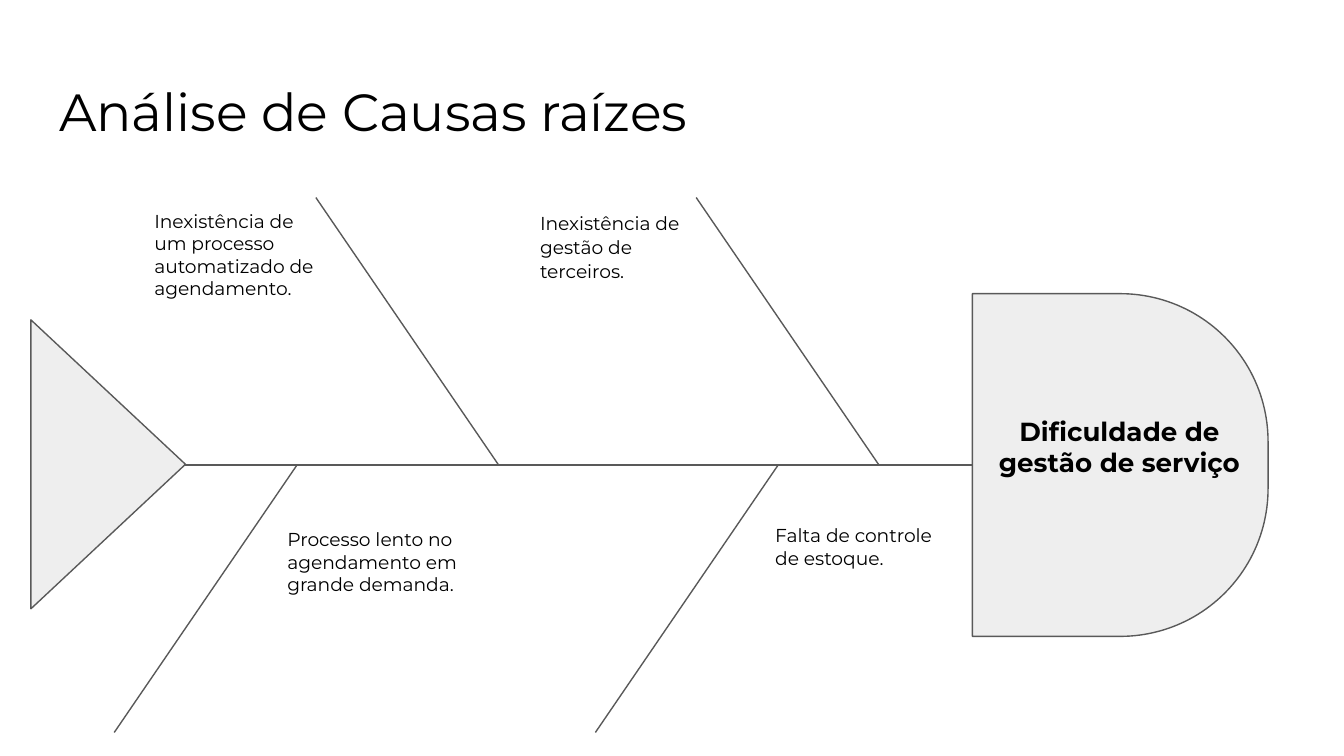
from dataclasses import dataclass

from lxml import etree
from pptx import Presentation
from pptx.dml.color import RGBColor
from pptx.enum.shapes import MSO_CONNECTOR, MSO_SHAPE
from pptx.enum.text import MSO_ANCHOR, MSO_AUTO_SIZE, PP_ALIGN
from pptx.oxml.ns import qn
from pptx.util import Emu, Inches, Pt

STRAIGHT = MSO_CONNECTOR.STRAIGHT
TRIANGLE, ROUND_TOP = MSO_SHAPE.ISOSCELES_TRIANGLE, MSO_SHAPE.ROUND_2_SAME_RECTANGLE
TOP, NO_FIT = MSO_ANCHOR.TOP, MSO_AUTO_SIZE.NONE
LEFT, CENTER = PP_ALIGN.LEFT, PP_ALIGN.CENTER

BLACK = RGBColor(0x00, 0x00, 0x00)
GRAY = RGBColor(0x59, 0x59, 0x59)
PALE = RGBColor(0xEE, 0xEE, 0xEE)
FONT = "Montserrat"

# Square grid: 100 columns across the 16:9 slide, 56.25 rows down
COLS, ROWS = 100, 56.25
CELL = Inches(10) / COLS
SPINE_ROW = 34.6
BONE_COLS, BONE_ROWS = 13.6, 19.9
LABEL_COLS, LABEL_ROWS = 15, 9.4


@dataclass
class Box:
    col: float
    row: float
    cols: float
    rows: float


@dataclass
class Cause:
    text: str
    joint: float  # column where the bone meets the spine
    side: int  # -1 above the spine, 1 below
    col: float
    row: float
    spacing: dict


CAUSES = [
    Cause("Inexistência de um processo automatizado de agendamento.",
          37.1, -1, 10.5, 14.6, {}),
    Cause("Inexistência de gestão de terceiros.",
          65.4, -1, 39.2, 14.6, {"line_spacing": 1.08, "space_after": Pt(8)}),
    Cause("Processo lento no agendamento em grande demanda.",
          22.1, 1, 20.4, 38.3, {}),
    Cause("Falta de controle de estoque.", 57.9, 1, 56.7, 38, {}),
]


def cells(n: float) -> Emu:
    return Emu(round(n * CELL))


def place(box: Box) -> list[Emu]:
    return [cells(n) for n in (box.col, box.row, box.cols, box.rows)]


def write(sp, text: str, size: float, align=LEFT, bold=False, spacing=None) -> None:
    tf = sp.text_frame
    frame = {"word_wrap": True, "auto_size": NO_FIT, "vertical_anchor": TOP}
    for side in ("left", "top", "right", "bottom"):
        frame[f"margin_{side}"] = Inches(0.1)
    p = tf.paragraphs[0]
    r = p.add_run()
    r.text = text
    formats = [
        (tf, frame),
        (p, {"alignment": align, **(spacing or {})}),
        (r.font, {"name": FONT, "size": Pt(size), "bold": bold}),
    ]
    for target, values in formats:
        for name, value in values.items():
            setattr(target, name, value)
    r.font.color.rgb = BLACK


def add_label(s, box: Box, text: str, size: float, **style) -> None:
    write(s.shapes.add_textbox(*place(box)), text, size, **style)


def add_line(s, *ends: float) -> None:
    """Draw a line from (col, row) to (col, row)."""
    line = s.shapes.add_connector(STRAIGHT, *map(cells, ends))
    line.line.color.rgb = GRAY
    line.line.width = Pt(0.75)
    etree.SubElement(line._element.spPr, qn("a:effectLst"))


def add_fish_part(s, kind, box: Box, adjustments: list[float]) -> None:
    """Draw a filled shape turned a quarter clockwise."""
    sp = s.shapes.add_shape(kind, *place(box))
    sp.rotation = 90
    sp.shadow.inherit = False
    for i, value in enumerate(adjustments):
        sp.adjustments[i] = value
    sp.fill.solid()
    sp.fill.fore_color.rgb = PALE
    sp.line.color.rgb = GRAY
    sp.line.width = Pt(0.75)


def main() -> None:
    prs = Presentation()
    prs.slide_width, prs.slide_height = cells(COLS), cells(ROWS)
    s = prs.slides.add_slide(prs.slide_layouts[5])

    title = s.shapes.title
    title.left, title.top, title.width, title.height = place(Box(3.4, 4.9, 93.2, 6.3))
    write(title, "Análise de Causas raízes", 28)

    add_fish_part(s, TRIANGLE, Box(-2.7, 28.8, 21.5, 11.5), [0.5])
    add_line(s, 13.8, SPINE_ROW, 76, SPINE_ROW)
    add_fish_part(s, ROUND_TOP, Box(70.6, 23.6, 25.5, 22), [0.5, 0])

    for cause in CAUSES:
        add_line(s, cause.joint - BONE_COLS, SPINE_ROW + cause.side * BONE_ROWS,
                 cause.joint, SPINE_ROW)
        add_label(s, Box(cause.col, cause.row, LABEL_COLS, LABEL_ROWS),
                  cause.text, 10, spacing=cause.spacing)

    add_label(s, Box(72.3, 29.9, 22, LABEL_ROWS), "Dificuldade de gestão de serviço",
              14, align=CENTER, bold=True)
    prs.save("out.pptx")


if __name__ == "__main__":
    main()
